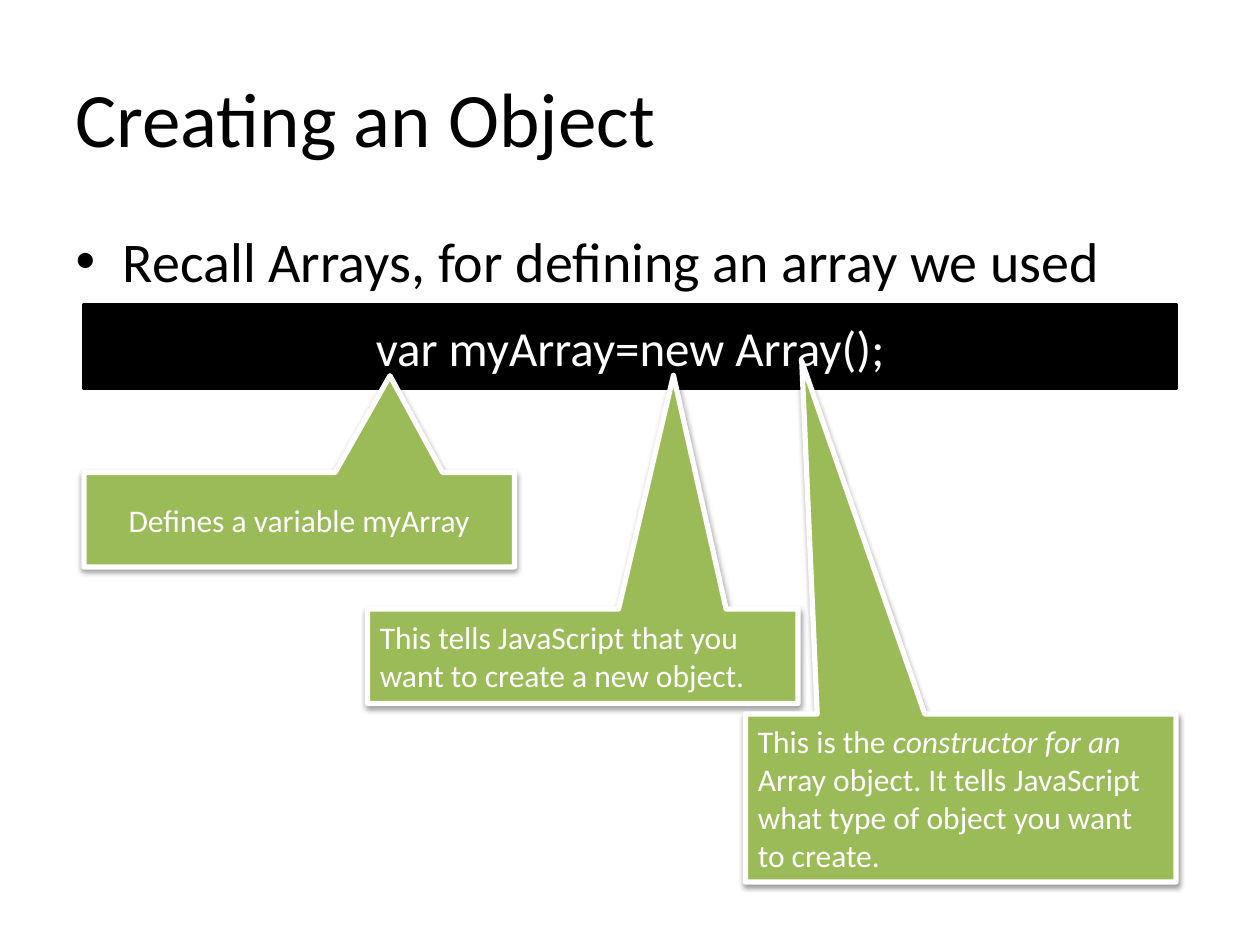
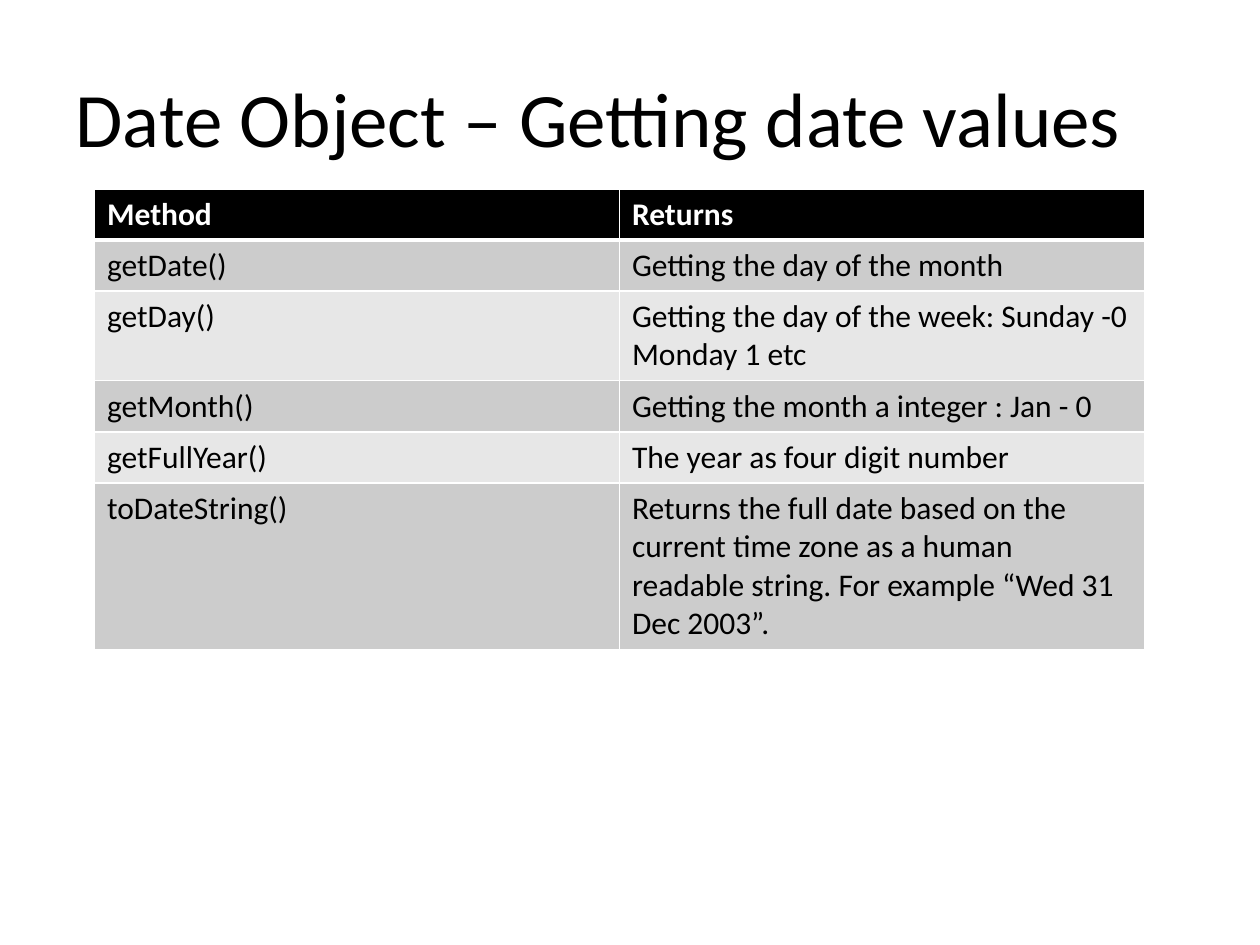
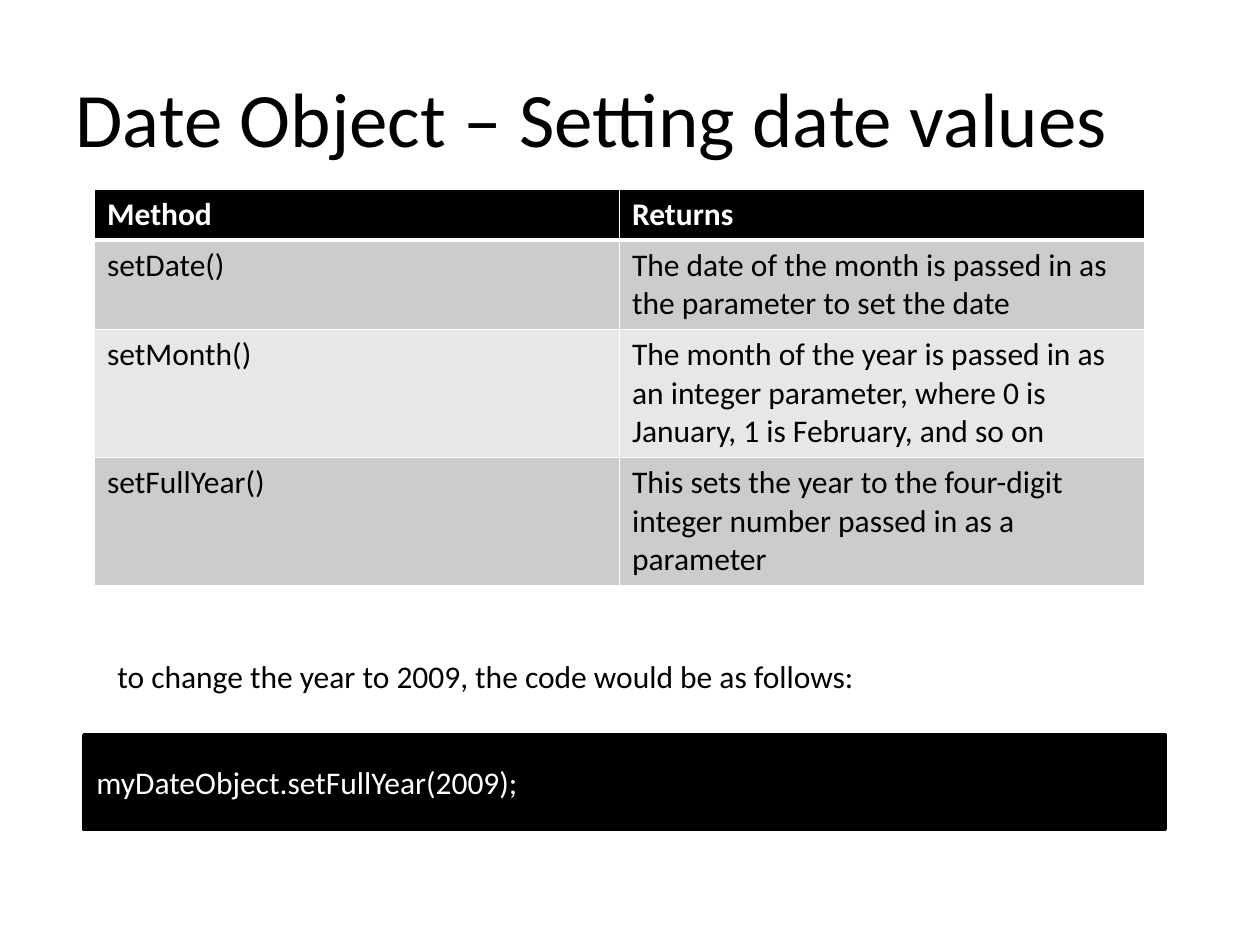
from dataclasses import dataclass

from lxml.etree import SubElement as Sub
from pptx import Presentation as Deck
from pptx.dml.color import RGBColor as Rgb
from pptx.enum.shapes import MSO_SHAPE as Kind
from pptx.enum.text import MSO_ANCHOR as Anchor, PP_ALIGN as Align
from pptx.oxml.ns import qn
from pptx.util import Inches, Pt


@dataclass(frozen=True)
class Theme:
    font: str = "Calibri"
    dark: str = "000000"
    light: str = "FFFFFF"
    note: str = "9BBB59"
    bands: tuple = ("CCCCCC", "E7E7E7")
    title: int = 44
    body: int = 32
    code: int = 28
    text: int = 18


THEME = Theme()
WIDE, HIGH = 10, 7.5
CELL = 1 / 12  # the slide is a grid of 120 columns by 90 rows
LAYOUT = {"list": 1, "title": 5}
ROW = 4.87  # least height of a table row

GETS = [
    ("getDate()", "Getting the day of the month"),
    ("getDay()", "Getting the day of the week: Sunday -0 Monday 1 etc"),
    ("getMonth()", "Getting the month a integer : Jan - 0"),
    ("getFullYear()", "The year as four digit number"),
    ("toDateString()", "Returns the full date based on the current time zone "
     "as a human readable string. For example “Wed 31 Dec 2003”."),
]
SETS = [
    ("setDate()", "The date of the month is passed in as the parameter "
     "to set the date"),
    ("setMonth()", "The month of the year is passed in as an integer "
     "parameter, where 0 is January, 1 is February, and so on"),
    ("setFullYear()", "This sets the year to the four-digit integer number "
     "passed in as a parameter"),
]


def grid(*cells):
    """Turn columns and rows into lengths."""
    return [Inches(n * CELL) for n in cells]


def tint(fill, color):
    fill.solid()
    fill.fore_color.rgb = Rgb.from_string(color)


def apply(item, values):
    for name, value in values.items():
        setattr(item, name, value)


def write(frame, paras, size, color, align=Align.LEFT, bold=False):
    """Fill a frame; a paragraph is a string or a list of (text, italic)."""
    for i, para in enumerate(paras):
        line = frame.add_paragraph() if i else frame.paragraphs[0]
        line.alignment = align
        for text, slant in [(para, False)] if isinstance(para, str) else para:
            run = line.add_run()
            run.text = text
            apply(run.font, {"name": THEME.font, "size": Pt(size),
                             "bold": bold, "italic": slant})
            run.font.color.rgb = Rgb.from_string(color)


def place(holder, at, text, size):
    names = ("left", "top", "width", "height")
    apply(holder, dict(zip(names, grid(*at))))
    write(holder.text_frame, [text], size, THEME.dark)


def start(deck, layout, title):
    """Add a slide with the shared title style."""
    slide = deck.slides.add_slide(deck.slide_layouts[LAYOUT[layout]])
    place(slide.shapes.title, (6, 3.6, 108, 15), title, THEME.title)
    return slide


def block(slide, kind, at, fill, edge, weight, paras, size, align):
    shape = slide.shapes.add_shape(kind, *grid(*at))
    shape.shadow.inherit = False
    tint(shape.fill, fill)
    tint(shape.line.fill, edge)
    shape.line.width = Pt(weight)
    apply(shape.text_frame,
          {"word_wrap": True, "vertical_anchor": Anchor.MIDDLE})
    write(shape.text_frame, paras, size, THEME.light, align)
    return shape


def code(slide, at, text, size, align=Align.LEFT):
    block(slide, Kind.RECTANGLE, at, THEME.dark, THEME.dark, 2,
          [text], size, align)


def callout(slide, at, tip, paras, align=Align.LEFT):
    """Add a green note whose pointer ends at the tip, a grid point."""
    shape = block(slide, Kind.RECTANGULAR_CALLOUT, at, THEME.note,
                  THEME.light, 3, paras, THEME.text, align)
    for i in (0, 1):
        shape.adjustments[i] = (tip[i] - at[i]) / at[i + 2] - 0.5
    # Soft shadow straight below
    effect = shape.element.spPr.find(qn("a:effectLst"))
    shade = Sub(effect, qn("a:outerShdw"), blurRad="40000", dist="20000",
                dir="5400000", rotWithShape="0")
    ink = Sub(shade, qn("a:srgbClr"), val=THEME.dark)
    Sub(ink, qn("a:alpha"), val="38000")


def border(cell, base):
    """Draw white cell edges, the lower one in the given weight."""
    props = cell._tc.get_or_add_tcPr()
    for side, weight in zip("LRTB", (1, 1, 1, base)):
        edge = Sub(props, qn("a:ln" + side), w=str(Pt(weight)))
        Sub(Sub(edge, qn("a:solidFill")), qn("a:srgbClr"), val=THEME.light)


def table(slide, rows):
    rows = [("Method", "Returns"), *rows]
    grown = slide.shapes.add_table(
        len(rows), 2, *grid(9, 18, 100, ROW * len(rows))).table
    for r, row in enumerate(rows):
        head = r == 0
        for c, text in enumerate(row):
            cell = grown.cell(r, c)
            border(cell, 3 if head else 1)
            tint(cell.fill, THEME.dark if head else THEME.bands[(r - 1) % 2])
            write(cell.text_frame, [text], THEME.text,
                  THEME.light if head else THEME.dark, bold=head)


def label(slide, at, text):
    frame = slide.shapes.add_textbox(*grid(*at)).text_frame
    frame.word_wrap = False
    write(frame, [text], THEME.text, THEME.dark)


def create(deck):
    slide = start(deck, "list", "Creating an Object")
    place(slide.placeholders[1], (6, 21, 108, 59.4),
          "Recall Arrays, for defining an array we used", THEME.body)
    code(slide, (8, 29, 104, 8), "var myArray=new Array();",
         THEME.code, Align.CENTER)
    # Notes step down to the right, each pointing at a part of the code
    callout(slide, (8, 45, 41, 9), (37.15, 35.78),
            ["Defines a variable myArray"], Align.CENTER)
    callout(slide, (35, 58, 41, 9), (64.15, 35.74),
            ["This tells JavaScript that you want to create a new object."])
    callout(slide, (71, 68, 41, 16), (76.37, 34.43),
            [[("This is the ", False), ("constructor for an", True)],
             "Array object. It tells JavaScript what type of object "
             "you want to create."])


def getting(deck):
    table(start(deck, "title", "Date Object – Getting date values"), GETS)


def setting(deck):
    slide = start(deck, "title", "Date Object – Setting date values")
    table(slide, SETS)
    label(slide, (10, 62, 73.4, 8.5),
          "to change the year to 2009, the code would be as follows:")
    code(slide, (8, 70, 103, 9), "myDateObject.setFullYear(2009);",
         THEME.text)


def main():
    deck = Deck()
    apply(deck, {"slide_width": Inches(WIDE), "slide_height": Inches(HIGH)})
    for build in (create, getting, setting):
        build(deck)
    deck.save("out.pptx")


main()
